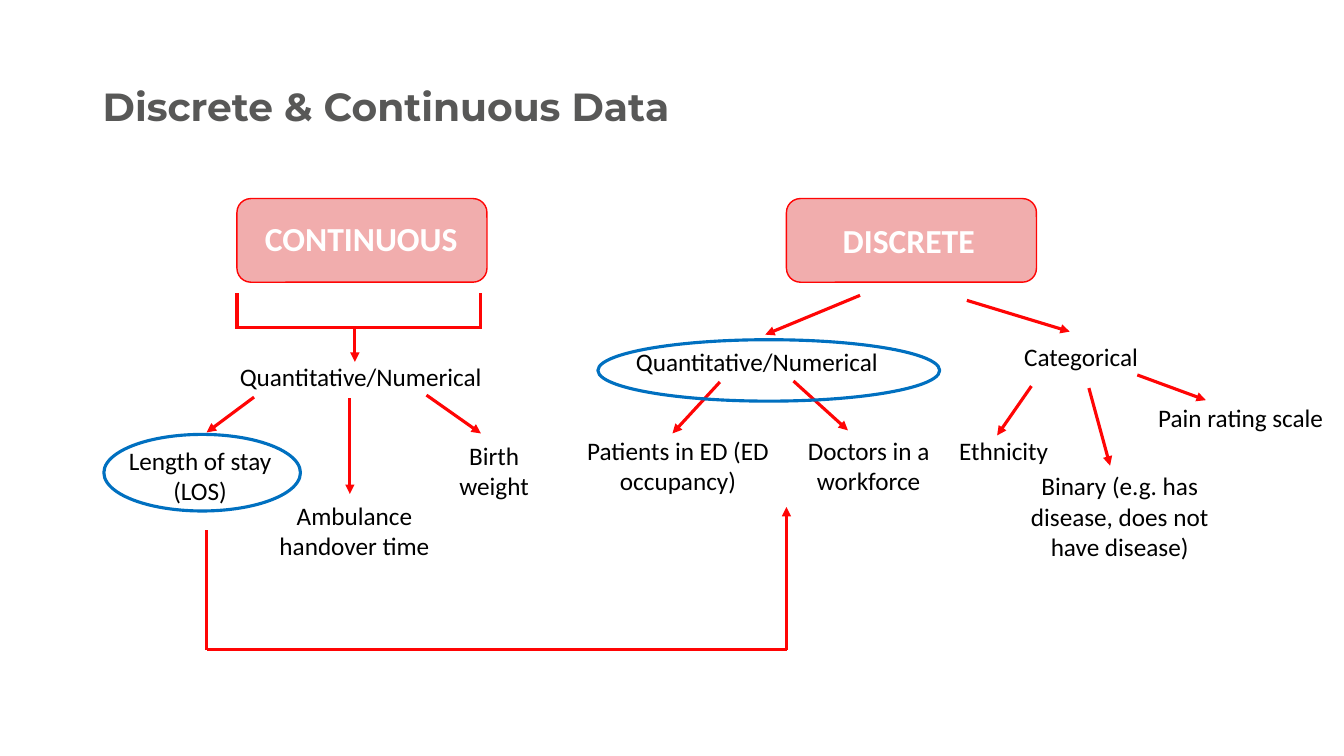
from lxml.etree import SubElement
from pptx import Presentation
from pptx.dml.color import RGBColor
from pptx.enum.shapes import MSO_CONNECTOR, MSO_SHAPE
from pptx.enum.text import MSO_ANCHOR, PP_ALIGN
from pptx.oxml.ns import qn
from pptx.util import Inches, Pt

RED = RGBColor(0xFF, 0x05, 0x05)
PINK = RGBColor(0xF1, 0xAD, 0xAD)
BLUE = RGBColor(0x00, 0x70, 0xC0)
GREY = RGBColor(0x58, 0x58, 0x57)
BLACK = RGBColor(0x00, 0x00, 0x00)
WHITE = RGBColor(0xFF, 0xFF, 0xFF)


class Diagram:
    """Holds the slide and the shared style of its elements."""

    font = "Calibri"
    size = Pt(18)
    weight = Pt(2.25)

    def __init__(self, slide):
        self.shapes = slide.shapes

    def text(self, text, x, y, w, h, size=None, color=BLACK, bold=False,
             font=None, align=PP_ALIGN.LEFT):
        tf = self.shapes.add_textbox(
            Inches(x), Inches(y), Inches(w), Inches(h)).text_frame
        tf.word_wrap = True
        p = tf.paragraphs[0]
        p.text = text
        p.alignment = align
        p.font.name = font or self.font
        p.font.size = size or self.size
        p.font.bold = bold
        p.font.color.rgb = color
        return tf

    def example(self, text, x, y, w=2.05, h=0.71):
        self.text(text, x, y, w, h, align=PP_ALIGN.CENTER)

    def title(self, text, x, y, w, h):
        tf = self.text(text, x, y, w, h, Pt(28), GREY, True, "Montserrat")
        tf.vertical_anchor = MSO_ANCHOR.MIDDLE
        tf.paragraphs[0].line_spacing = 0.9

    def shape(self, kind, x, y, w, h, line, weight):
        s = self.shapes.add_shape(kind, Inches(x), Inches(y), Inches(w), Inches(h))
        s.shadow.inherit = False
        s.line.color.rgb = line
        s.line.width = weight
        return s

    def heading(self, text, x, text_x, text_y):
        s = self.shape(MSO_SHAPE.ROUNDED_RECTANGLE, x, 1.97, 2.48, 0.83, RED, Pt(1))
        s.fill.solid()
        s.fill.fore_color.rgb = PINK
        self.text(text, text_x, text_y, 2.24, 0.5, Pt(24), WHITE, True)

    def ring(self, x, y, w, h):
        s = self.shape(MSO_SHAPE.OVAL, x, y, w, h, BLUE, self.weight)
        s.fill.background()

    def line(self, x1, y1, x2, y2):
        c = self.shapes.add_connector(
            MSO_CONNECTOR.STRAIGHT, Inches(x1), Inches(y1), Inches(x2), Inches(y2))
        c.line.color.rgb = RED
        c.line.width = self.weight
        SubElement(c._element.spPr, qn("a:effectLst"))
        return c

    def arrow(self, x1, y1, x2, y2):
        c = self.line(x1, y1, x2, y2)
        SubElement(c.line._get_or_add_ln(), qn("a:tailEnd"), type="triangle")


def main():
    prs = Presentation()
    prs.slide_width, prs.slide_height = Inches(13.33), Inches(7.5)
    d = Diagram(prs.slides.add_slide(prs.slide_layouts[6]))

    # Title and the two headings
    d.title("Discrete & Continuous Data", 0.92, 0.85, 7.82, 0.45)
    d.heading("DISCRETE", 7.8, 8.26, 2.13)
    d.heading("CONTINUOUS", 2.35, 2.53, 2.11)

    # Data types
    for name, x, y in (("Categorical", 10.06, 3.34),
                       ("Quantitative/Numerical", 6.21, 3.39),
                       ("Quantitative/Numerical", 2.28, 3.54)):
        d.text(name, x, y, 2.83, 0.4)

    # Examples of discrete data
    d.example("Patients in ED (ED occupancy)", 5.31, 4.27, w=2.83)
    d.example("Doctors in a workforce", 7.59, 4.27)
    d.example("Ethnicity", 8.93, 4.27, h=0.4)
    d.example("Binary (e.g. has disease, does not have disease)", 10.08, 4.62, h=1.01)
    d.example("Pain rating scale", 11.28, 3.94, h=0.4)

    # Examples of continuous data
    d.example("Length of stay (LOS)", 0.96, 4.37)
    d.example("Ambulance handover time", 2.49, 4.91)
    d.example("Birth weight", 4.19, 4.32, w=1.42)

    # Bracket under CONTINUOUS
    d.line(2.35, 3.25, 4.77, 3.25)
    for x in (2.35, 4.77):
        d.line(x, 3.26, x, 2.91)

    # Path from length of stay to the discrete examples
    d.line(2.05, 6.45, 2.05, 5.26)
    d.line(2.05, 6.44, 7.81, 6.44)

    # Arrows
    for ends in (
        (9.59, 2.98, 10.61, 3.29),   # discrete to its types
        (8.53, 2.93, 7.59, 3.32),
        (7.14, 3.79, 6.67, 4.3),     # discrete numerical to examples
        (7.87, 3.78, 8.41, 4.27),
        (11.28, 3.72, 11.96, 3.97),  # categorical to examples
        (10.23, 3.83, 9.89, 4.32),
        (10.8, 3.85, 11.01, 4.62),
        (3.52, 3.24, 3.52, 3.59),    # continuous to its type
        (4.23, 3.92, 4.77, 4.3),     # continuous numerical to examples
        (2.52, 3.94, 2.05, 4.29),
        (3.47, 3.95, 3.47, 4.9),
        (7.8, 6.45, 7.8, 5.03),      # end of the length of stay path
    ):
        d.arrow(*ends)

    # Rings around the highlighted items
    d.ring(1.03, 4.31, 1.95, 0.76)
    d.ring(5.93, 3.37, 3.39, 0.61)

    prs.save("out.pptx")


if __name__ == "__main__":
    main()
